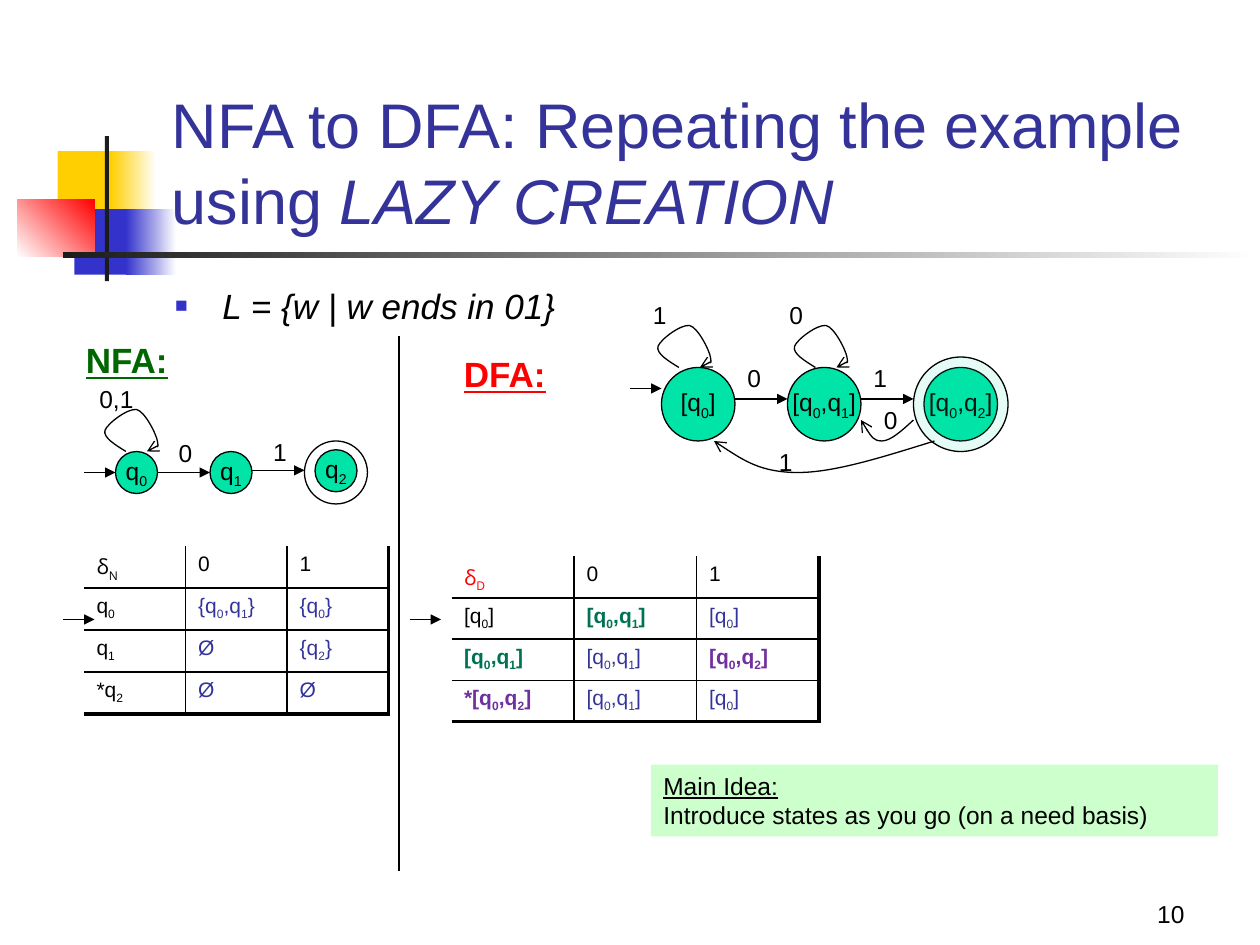
"""Build the slide that turns an NFA into a DFA by lazy creation."""
from dataclasses import dataclass, replace

from lxml import etree
from pptx import Presentation
from pptx import util as u
from pptx.dml import color
from pptx.enum import shapes, text
from pptx.oxml import ns

Pt = u.Pt


@dataclass(frozen=True)
class Theme:
    ink: str = "000000"
    indigo: str = "333399"
    blue: str = "3333CC"
    yellow: str = "FFCF01"
    red: str = "FF0000"
    white: str = "FFFFFF"
    charcoal: str = "1C1C1C"
    mint: str = "00E4A8"
    pale: str = "CCFFCC"
    green: str = "006600"
    teal: str = "007254"
    purple: str = "7030A0"
    title: float = 36
    heading: float = 20
    label: float = 14
    cell: float = 12
    thin: float = 0.75
    grid: float = 1
    edge: float = 2.25


THEME = Theme()


@dataclass(frozen=True)
class Style:
    size: float = THEME.label
    ink: str = THEME.ink
    bold: bool = False
    italic: bool = False
    underline: bool = False
    font: str = "Arial"


@dataclass(frozen=True)
class Bar:
    left: float
    top: float
    width: float
    height: float
    colors: tuple
    angle: float = 0


@dataclass(frozen=True)
class State:
    left: float
    top: float
    size: float
    name: str = ""
    fill: str | None = THEME.mint
    alpha: int = 100


@dataclass(frozen=True)
class Label:
    left: float
    top: float
    name: str
    width: float = 22.3


@dataclass(frozen=True)
class Diagram:
    states: tuple
    arrows: tuple
    curves: tuple
    labels: tuple


BODY = Style(THEME.cell)
VALUE = replace(BODY, ink=THEME.indigo)
FOUND = replace(BODY, ink=THEME.teal, bold=True)
FINAL = replace(BODY, ink=THEME.purple, bold=True)
DELTA = replace(BODY, font="Open Sans")


def rgb(code: str) -> color.RGBColor:
    """Turn a hex code into a colour."""
    return color.RGBColor.from_string(code)


def add_spans(para, markup: str, style: Style) -> None:
    """Append runs, lowering each character that follows an underscore."""
    first, *rest = markup.split("_")
    pieces = [(first, False)]
    for part in rest:
        pieces += [(part[:1], True), (part[1:], False)]
    for words, lowered in pieces:
        if not words:
            continue
        span = para.add_run()
        span.text = words
        font = span.font
        font.name, font.size, font.color.rgb = style.font, Pt(style.size), rgb(style.ink)
        font.bold, font.italic, font.underline = style.bold, style.italic, style.underline
        if lowered:
            span._r.get_or_add_rPr().set("baseline", "-25000")


def add_text(parent, left, top, width, height, markup, style, wrap=True, bottom=False):
    """Add a text box and return its first paragraph."""
    box = parent.add_textbox(Pt(left), Pt(top), Pt(width), Pt(height))
    frame = box.text_frame
    frame.word_wrap = wrap
    frame.auto_size = text.MSO_AUTO_SIZE.NONE if wrap else text.MSO_AUTO_SIZE.SHAPE_TO_FIT_TEXT
    frame.vertical_anchor = text.MSO_ANCHOR.BOTTOM if bottom else text.MSO_ANCHOR.TOP
    add_spans(frame.paragraphs[0], markup, style)
    return frame.paragraphs[0]


def add_bar(parent, bar: Bar):
    """Add a borderless rectangle with one colour or a gradient."""
    box = parent.add_shape(shapes.MSO_SHAPE.RECTANGLE, Pt(bar.left), Pt(bar.top),
                           Pt(bar.width), Pt(bar.height))
    box.shadow.inherit = False
    box.line.fill.background()
    if len(bar.colors) == 1:
        box.fill.solid()
        box.fill.fore_color.rgb = rgb(bar.colors[0])
    else:
        box.fill.gradient()
        box.fill.gradient_angle = bar.angle
        for stop, code in zip(box.fill.gradient_stops, bar.colors):
            stop.color.rgb = rgb(code)
    return box


def set_line(line, head: str = "") -> None:
    """Make a line thin and dark, with an optional arrowhead at its end."""
    line.color.rgb = rgb(THEME.ink)
    line.width = Pt(THEME.thin)
    if head:
        etree.SubElement(line._get_or_add_ln(), ns.qn("a:tailEnd"), type=head)


def add_line(parent, x1, y1, x2, y2, head="triangle") -> None:
    """Add a straight connector."""
    line = parent.add_connector(shapes.MSO_CONNECTOR.STRAIGHT, Pt(x1), Pt(y1), Pt(x2), Pt(y2))
    set_line(line.line, head)
    etree.SubElement(line._element.spPr, ns.qn("a:effectLst"))


def add_curve(parent, points) -> None:
    """Add an open Bezier curve through a start and triples of control points."""
    scaled = [(Pt(x), Pt(y)) for x, y in points]
    builder = parent.build_freeform(*scaled[0])
    builder.add_line_segments(scaled[1:], close=False)
    curve = builder.convert_to_shape()
    segments = list(curve._element.iter(ns.qn("a:lnTo")))
    for start in range(0, len(segments), 3):
        bezier = etree.Element(ns.qn("a:cubicBezTo"))
        segments[start].addprevious(bezier)
        for segment in segments[start:start + 3]:
            bezier.append(segment[0])
            segment.getparent().remove(segment)
    curve.shadow.inherit = False
    curve.fill.background()
    set_line(curve.line, "arrow")


def add_state(parent, state: State) -> None:
    """Add a state circle with its name."""
    oval = parent.add_shape(shapes.MSO_SHAPE.OVAL, Pt(state.left), Pt(state.top),
                            Pt(state.size), Pt(state.size))
    oval.shadow.inherit = False
    set_line(oval.line)
    if state.fill:
        oval.fill.solid()
        oval.fill.fore_color.rgb = rgb(state.fill)
        if state.alpha < 100:
            tint = oval._element.spPr.find(ns.qn("a:solidFill"))[0]
            etree.SubElement(tint, ns.qn("a:alpha"), val=str(state.alpha * 1000))
    else:
        oval.fill.background()
    if state.name:
        frame = oval.text_frame
        frame.word_wrap = False
        frame.vertical_anchor = text.MSO_ANCHOR.MIDDLE
        frame.paragraphs[0].alignment = text.PP_ALIGN.CENTER
        add_spans(frame.paragraphs[0], state.name, Style())


def loop(x: float, y: float) -> list:
    """Give the control points of a self-loop that starts at x, y."""
    steps = ((0, 0), (-6.5, -4), (-13, -8), (-12, -12), (-10.5, -16), (0.8, -24.6), (6, -24),
             (10.8, -23), (17.3, -10), (18, -6), (18.7, -1.5), (15.8, -0.7), (12, 0))
    return [(x + dx, y + dy) for dx, dy in steps]


def add_diagram(parent, diagram: Diagram) -> None:
    """Draw the states, arrows, curves and labels of an automaton."""
    for state in diagram.states:
        add_state(parent, state)
    for arrow in diagram.arrows:
        add_line(parent, *arrow)
    for curve in diagram.curves:
        add_curve(parent, curve)
    for label in diagram.labels:
        add_text(parent, label.left, label.top, label.width, 24, label.name, Style(), wrap=False)


def set_borders(cell, widths: dict) -> None:
    """Set the borders of a cell; a width of zero hides one."""
    for side, width in widths.items():
        line = etree.SubElement(cell._tc.get_or_add_tcPr(), ns.qn(f"a:ln{side}"), w=str(Pt(width)))
        fill = etree.SubElement(line, ns.qn("a:solidFill" if width else "a:noFill"))
        if width:
            etree.SubElement(fill, ns.qn("a:srgbClr"), val=THEME.ink)


def add_grid(parent, left, top, column, row, entries) -> None:
    """Add a transition table without top and left outer borders."""
    rows, columns = len(entries), len(entries[0])
    grid = parent.add_table(rows, columns, Pt(left), Pt(top),
                            Pt(column * columns), Pt(row * rows)).table
    grid.first_row = grid.horz_banding = False
    for r, line in enumerate(entries):
        grid.rows[r].height = Pt(row)
        for c, (markup, style) in enumerate(line):
            grid.columns[c].width = Pt(column)
            cell = grid.cell(r, c)
            set_borders(cell, {"L": THEME.grid if c else 0,
                               "R": THEME.edge if c == columns - 1 else THEME.grid,
                               "T": THEME.grid if r else 0,
                               "B": THEME.edge if r == rows - 1 else THEME.grid})
            cell.fill.background()
            para = cell.text_frame.paragraphs[0]
            para.space_before = Pt(2.4)
            add_spans(para, markup, style)


def add_bullet(para) -> None:
    """Give a paragraph a hanging square bullet."""
    para.space_before = Pt(4)
    props = para._p.get_or_add_pPr()
    props.set("marL", str(Pt(27)))
    props.set("indent", str(Pt(-27)))
    tint = etree.SubElement(props, ns.qn("a:buClr"))
    etree.SubElement(tint, ns.qn("a:srgbClr"), val=THEME.blue)
    etree.SubElement(props, ns.qn("a:buSzPct"), val="60000")
    etree.SubElement(props, ns.qn("a:buFont"), typeface="Arial")
    etree.SubElement(props, ns.qn("a:buChar"), char="■")


BARS = (
    Bar(33, 86.4, 34.6, 37.4, (THEME.yellow,)),
    Bar(63.4, 86.4, 26, 37.4, (THEME.yellow, THEME.white)),
    Bar(42.5, 119.5, 33, 37.4, (THEME.blue,)),
    Bar(72, 119.5, 28.8, 37.4, (THEME.blue, THEME.white)),
    Bar(10, 113.8, 44, 33, (THEME.white, THEME.red), 45),
    Bar(60, 77.8, 2.2, 82.8, (THEME.charcoal,)),
    Bar(36, 144, 684, 3.6, (THEME.charcoal, THEME.white)),
)
NFA = Diagram(
    states=(State(66, 258, 24, "q_0"), State(120, 258, 24, "q_1"),
            State(180, 257, 24, "q_2"), State(174, 252, 36, fill=None)),
    arrows=((48, 270, 66, 270), (90, 270, 120, 270), (144, 268.8, 174, 268.8)),
    curves=(loop(72, 258),),
    labels=(Label(95, 247, "0"), Label(49.7, 216, "0,1", 34), Label(149, 246, "1")),
)
DFA = Diagram(
    states=(State(378, 210, 42, "[q_0]"), State(450, 210, 42, "[q_0,q_1]"),
            State(528, 210, 42, "[q_0,q_2]"), State(522, 204, 54, alpha=10)),
    arrows=((360, 222, 378, 222), (420, 228, 450, 228), (492, 228, 522, 228)),
    curves=(loop(388, 210), loop(466, 210),
            [(522, 240), (515.5, 246), (509, 252), (504, 252), (499, 252), (495.5, 246), (492, 240)],
            [(534, 252), (505, 261), (477, 270), (456, 270), (435, 270), (421.5, 261), (408, 252)]),
    labels=(Label(366, 168, "1"), Label(420, 204, "0"), Label(492, 204, "1"),
            Label(444, 168, "0"), Label(498, 228, "0"), Label(438, 252, "1")),
)
NFA_TABLE = (
    (("δ_N", DELTA), ("0", BODY), ("1", BODY)),
    (("q_0", BODY), ("{q_0,q_1}", VALUE), ("{q_0}", VALUE)),
    (("q_1", BODY), ("Ø", VALUE), ("{q_2}", VALUE)),
    (("*q_2", BODY), ("Ø", VALUE), ("Ø", VALUE)),
)
DFA_TABLE = (
    (("δ_D", replace(DELTA, ink=THEME.red)), ("0", BODY), ("1", BODY)),
    (("[q_0]", BODY), ("[q_0,q_1]", FOUND), ("[q_0]", VALUE)),
    (("[q_0,q_1]", FOUND), ("[q_0,q_1]", VALUE), ("[q_0,q_2]", FINAL)),
    (("*[q_0,q_2]", FINAL), ("[q_0,q_1]", VALUE), ("[q_0]", VALUE)),
)


def main() -> None:
    """Build and save the deck."""
    deck = Presentation()
    deck.slide_width, deck.slide_height = Pt(720), Pt(540)
    page = deck.slides.add_slide(deck.slide_layouts[6]).shapes
    for bar in BARS:
        add_bar(page, bar)
    number = add_text(page, 534, 498, 150, 36, "10", Style(), bottom=True)
    number.alignment = text.PP_ALIGN.RIGHT
    heading = Style(THEME.title, THEME.indigo)
    title = add_text(page, 91, 49, 613, 90, "NFA to DFA: Repeating the example using ",
                     heading, bottom=True)
    add_spans(title, "LAZY CREATION", replace(heading, italic=True))
    add_bullet(add_text(page, 93, 159, 612, 324, "L = {w | w ends in 01}",
                        Style(THEME.heading, italic=True)))
    for left, top, name, ink in ((42, 190, "NFA:", THEME.green), (258, 198, "DFA:", THEME.red)):
        add_text(page, left, top, 62, 31, name,
                 Style(THEME.heading, ink, bold=True, underline=True), wrap=False)
    add_diagram(page, NFA)
    add_grid(page, 48, 312, 58, 24, NFA_TABLE)
    add_line(page, 228, 192, 228, 498, head="")
    for left in (36, 234):
        add_line(page, left, 354, left + 18, 354)
    add_grid(page, 258, 318, 70, 22.5, DFA_TABLE)
    add_diagram(page.add_group_shape().shapes, DFA)
    frame = add_bar(page, Bar(372, 437, 324, 41, (THEME.pale,))).text_frame
    frame.word_wrap = True
    frame.vertical_anchor = text.MSO_ANCHOR.TOP
    add_spans(frame.paragraphs[0], "Main Idea:", Style(underline=True))
    add_spans(frame.add_paragraph(), "Introduce states as you go (on a need basis)", Style())
    for para in frame.paragraphs:
        para.alignment = text.PP_ALIGN.LEFT
    deck.save("out.pptx")


main()
